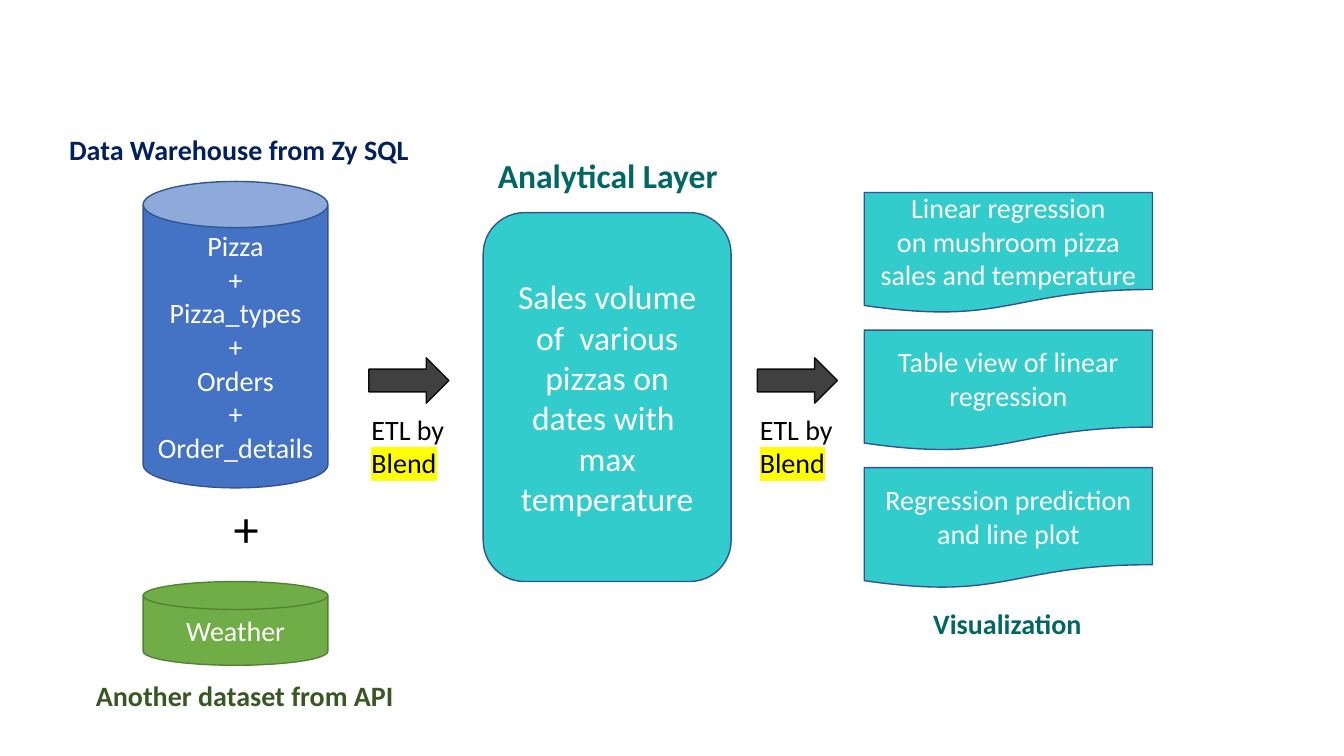
from lxml import etree
from pptx import Presentation
from pptx import util as u
from pptx.dml.color import RGBColor
from pptx.enum import shapes, text
from pptx.oxml import ns

WIDTH, HEIGHT = u.Inches(13.33), u.Inches(7.5)
FONT = "Calibri"
WHITE, BLACK, YELLOW = "FFFFFF", "000000", "FFFF00"
NAVY, PINE, FOREST = "002060", "006666", "385723"
BLUE, BLUE_EDGE, TURQUOISE = "4472C4", "325491", "33CCCC"
GREEN, GREEN_EDGE = "70AD47", "548235"
GREY, GREY_EDGE = "404040", "0D0D0D"
SOURCE_LEFT, SOURCE_WIDTH = 10.65, 13.75
REPORT_TOP, REPORT_PITCH = 25.47, 18.2
TABLES = ["Pizza", "Pizza_types", "Orders", "Order_details"]
REPORTS = [
    ["Linear regression", "on mushroom pizza sales and temperature"],
    ["Table view of linear regression"],
    ["Regression prediction and line plot"],
]
ETL_LEFTS = [27.45, 56.35]


def color(hex_string):
    """Return the colour for a hex string."""
    return RGBColor.from_string(hex_string)


def place(left, top, width, height):
    """Turn percentages of the slide's size into lengths."""
    return [
        u.Emu(round(share * size / 100))
        for share, size in zip((left, top, width, height), (WIDTH, HEIGHT) * 2)
    ]


def highlight(run, hex_string):
    """Mark a run with a background colour."""
    fill = run.font._element.find(ns.qn("a:solidFill"))
    mark = etree.Element(ns.qn("a:highlight"))
    etree.SubElement(mark, ns.qn("a:srgbClr"), val=hex_string)
    fill.addnext(mark)


def write(frame, lines, size, hex_string, align, bold=False):
    """Write one paragraph per line and return the runs."""
    runs = []
    for index, line in enumerate(lines):
        paragraph = frame.add_paragraph() if index else frame.paragraphs[0]
        paragraph.alignment = align
        run = paragraph.add_run()
        run.text = line
        run.font.size = u.Pt(size)
        run.font.name = FONT
        run.font.bold = bold
        run.font.color.rgb = color(hex_string)
        runs.append(run)
    return runs


def add_block(slide, kind, box, fill, edge, lines=(), size=20):
    """Add a filled, outlined shape with centred white text."""
    shape = slide.shapes.add_shape(kind, *place(*box))
    shape.shadow.inherit = False
    shape.fill.solid()
    shape.fill.fore_color.rgb = color(fill)
    shape.line.color.rgb = color(edge)
    shape.line.width = u.Pt(1)
    shape.text_frame.vertical_anchor = text.MSO_ANCHOR.MIDDLE
    write(shape.text_frame, lines, size, WHITE, text.PP_ALIGN.CENTER)


def add_label(slide, box, lines, hex_string, size=20, bold=True):
    """Add an unwrapped text box and return its runs."""
    frame = slide.shapes.add_textbox(*place(*box)).text_frame
    frame.word_wrap = False
    frame.auto_size = text.MSO_AUTO_SIZE.SHAPE_TO_FIT_TEXT
    return write(frame, lines, size, hex_string, text.PP_ALIGN.LEFT, bold)


def add_etl_step(slide, left):
    """Add an arrow with its tool label below."""
    add_block(slide, shapes.MSO_SHAPE.RIGHT_ARROW, (left, 47.33, 5.95, 6), GREY, GREY_EDGE)
    runs = add_label(slide, (left - 0.55, 53.87, 7, 10.27), ["ETL by", "Blend"], BLACK, bold=False)
    highlight(runs[-1], YELLOW)


def add_sources(slide):
    """Add the warehouse and weather sources."""
    kinds = shapes.MSO_SHAPE
    add_label(slide, (4.4, 16.93, 27.9, 5.87), ["Data Warehouse from Zy SQL"], NAVY)
    add_block(slide, kinds.CAN, (SOURCE_LEFT, 24, SOURCE_WIDTH, 40.53),
              BLUE, BLUE_EDGE, "\n+\n".join(TABLES).split("\n"))
    add_label(slide, (16.65, 65.07, 3.4, 9.47), ["+"], BLACK, 36, False)
    add_block(slide, kinds.FLOWCHART_MAGNETIC_DISK, (SOURCE_LEFT, 76.93, SOURCE_WIDTH, 11.07),
              GREEN, GREEN_EDGE, ["Weather"])
    add_label(slide, (6.4, 89.07, 23.85, 5.87), ["Another dataset from API"], FOREST)


def add_analysis(slide):
    """Add the analytical layer."""
    add_label(slide, (36.3, 19.87, 18.1, 6.67), ["Analytical Layer"], PINE, 24)
    add_block(slide, shapes.MSO_SHAPE.ROUNDED_RECTANGLE, (35.95, 28.13, 18.45, 48.8),
              TURQUOISE, BLUE_EDGE,
              ["Sales volume of  various pizzas on dates with  max temperature"], 24)


def add_reports(slide):
    """Add the stacked report documents and their caption."""
    for row, lines in enumerate(REPORTS):
        top = REPORT_TOP + row * REPORT_PITCH
        add_block(slide, shapes.MSO_SHAPE.FLOWCHART_DOCUMENT, (64.3, top, 21.45, 16),
                  TURQUOISE, BLUE_EDGE, lines)
    add_label(slide, (68.7, 79.6, 12.7, 5.87), ["Visualization"], PINE)


def main():
    """Build and save the data flow slide."""
    presentation = Presentation()
    presentation.slide_width, presentation.slide_height = WIDTH, HEIGHT
    slide = presentation.slides.add_slide(presentation.slide_layouts[6])
    add_sources(slide)
    add_analysis(slide)
    add_reports(slide)
    for left in ETL_LEFTS:
        add_etl_step(slide, left)
    presentation.save("out.pptx")


main()
